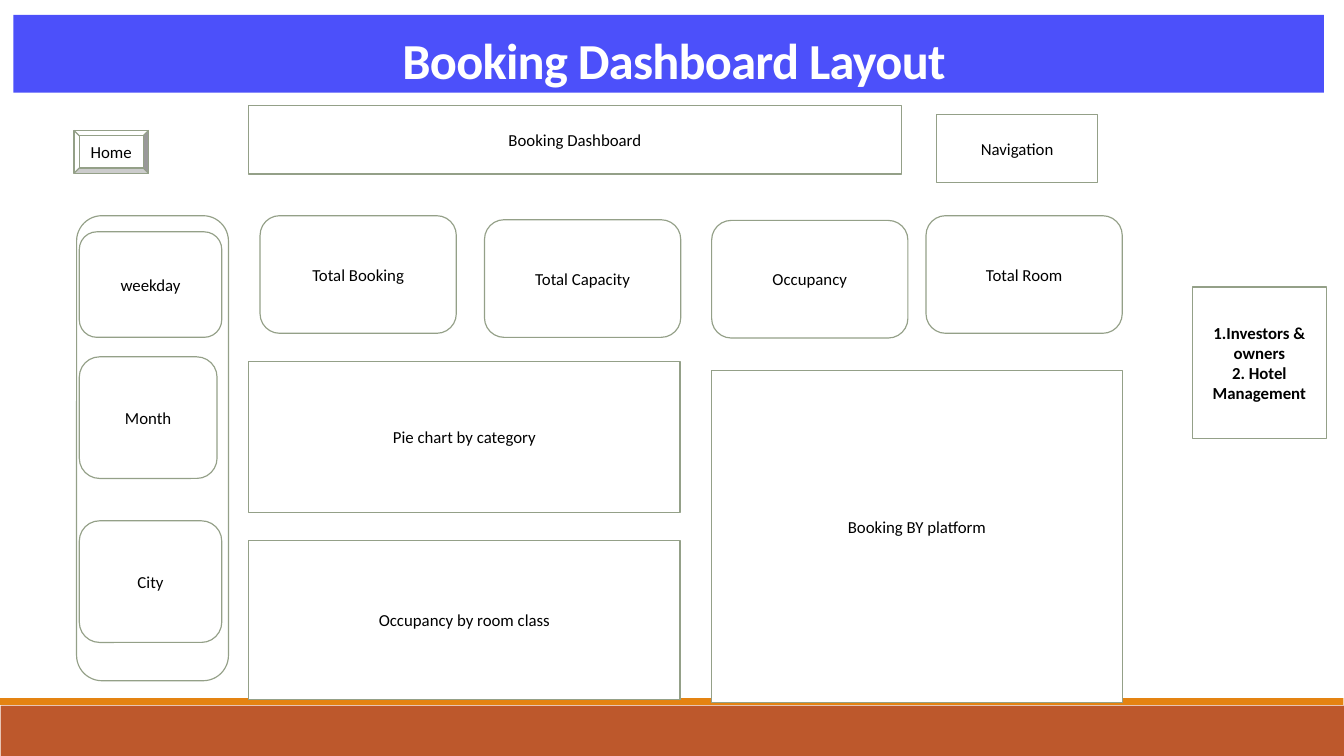
from collections import namedtuple
from dataclasses import dataclass

from pptx import Presentation
from pptx.dml.color import RGBColor
from pptx.enum.shapes import MSO_SHAPE
from pptx.enum.text import MSO_ANCHOR, PP_ALIGN
from pptx.util import Inches, Pt

Box = namedtuple("Box", "left top width height")


@dataclass(frozen=True)
class Theme:
    font: str = "Calibri"
    title_size: int = 54
    body_size: int = 18
    line_width: float = 1.25
    white: str = "FFFFFF"
    black: str = "000000"
    outline: str = "94A088"
    banner: str = "4C50FA"
    footer: str = "BD582C"
    stripe: str = "E48312"


THEME = Theme()


def color(value):
    return RGBColor.from_string(value)


def within(box, left, top, width, height):
    return Box(box.left + left, box.top + top, width, height)


def add_block(slide, box, fill, kind=MSO_SHAPE.RECTANGLE):
    shape = slide.shapes.add_shape(kind, *map(Inches, box))
    shape.shadow.inherit = False
    shape.fill.solid()
    shape.fill.fore_color.rgb = color(fill)
    shape.line.fill.background()
    return shape


def add_line(paragraph, text, size, text_color, bold=False):
    paragraph.alignment = PP_ALIGN.CENTER
    run = paragraph.add_run()
    run.text = text
    run.font.name = THEME.font
    run.font.size = Pt(size)
    run.font.bold = bold
    run.font.color.rgb = color(text_color)
    return run


def add_panel(slide, box, lines=(), kind=MSO_SHAPE.RECTANGLE, bold=False):
    shape = add_block(slide, box, THEME.white, kind)
    shape.line.color.rgb = color(THEME.outline)
    shape.line.width = Pt(THEME.line_width)
    frame = shape.text_frame
    frame.word_wrap = True
    frame.vertical_anchor = MSO_ANCHOR.MIDDLE
    for index, text in enumerate(lines):
        paragraph = frame.add_paragraph() if index else frame.paragraphs[0]
        add_line(paragraph, text, THEME.body_size, THEME.black, bold)
    return shape


def add_footer(slide, box):
    stripe_height = 0.1
    body = within(box, 0.01, stripe_height + 0.01, box.width, 0.75)
    add_block(slide, body, THEME.footer)
    add_block(slide, box._replace(height=stripe_height), THEME.stripe)


def add_title(slide, box):
    frame = add_block(slide, box, THEME.banner).text_frame
    frame.word_wrap = True
    frame.vertical_anchor = MSO_ANCHOR.BOTTOM
    paragraph = frame.paragraphs[0]
    paragraph.line_spacing = 0.85
    run = add_line(paragraph, " Booking Dashboard Layout", THEME.title_size, THEME.white, True)
    run.font._element.set("spc", "-80")


def add_header(slide, box):
    add_panel(slide, within(box, 2.6, 0, 9.71, 1.02), ["Booking Dashboard"])
    add_panel(slide, within(box, 12.84, 0.13, 2.39, 1.02), ["Navigation"])
    add_panel(slide, within(box, 0, 0.37, 1.11, 0.64), ["Home"], MSO_SHAPE.BEVEL)


def add_indicators(slide, box):
    cards = [
        ("Total Booking", 0, 0),
        ("Total Capacity", 3.34, 0.06),
        ("Occupancy", 6.72, 0.07),
        ("Total Room", 9.91, 0),
    ]
    for label, left, top in cards:
        card = within(box, left, top, 2.92, box.height)
        add_panel(slide, card, [label], MSO_SHAPE.ROUNDED_RECTANGLE)


def add_filters(slide, box):
    add_panel(slide, box, kind=MSO_SHAPE.ROUNDED_RECTANGLE)
    filters = [
        ("weekday", 0.24, 2.12, 1.57),
        ("Month", 2.1, 2.05, 1.81),
        ("City", 4.54, 2.12, 1.81),
    ]
    for label, top, width, height in filters:
        button = within(box, 0.04, top, width, height)
        add_panel(slide, button, [label], MSO_SHAPE.ROUNDED_RECTANGLE)


def add_charts_area(slide, box):
    add_panel(slide, within(box, 0, 0, 6.42, 2.25), ["Pie chart by category"])
    add_panel(slide, within(box, 0, 2.66, 6.42, 2.37), ["Occupancy by room class"])
    platform = add_panel(slide, within(box, 6.89, 0.13, 6.11, 4.95), ["Booking BY platform"])
    platform.text_frame.margin_bottom = Inches(0.35)


def add_audience(slide, box):
    add_panel(slide, box, ["1.Investors & owners", "2. Hotel Management"], bold=True)


def main():
    presentation = Presentation()
    presentation.slide_width = Inches(20)
    presentation.slide_height = Inches(11.25)
    slide = presentation.slides.add_slide(presentation.slide_layouts[6])
    add_footer(slide, Box(0, 10.39, 19.99, 0.86))
    add_title(slide, Box(0.2, 0.22, 19.5, 1.16))
    add_audience(slide, Box(17.74, 4.27, 2, 2.25))
    add_indicators(slide, Box(3.87, 3.21, 12.83, 1.75))
    add_charts_area(slide, Box(3.7, 5.38, 13, 5.08))
    add_header(slide, Box(1.1, 1.57, 15.23, 1.15))
    add_filters(slide, Box(1.14, 3.21, 2.26, 6.92))
    presentation.save("out.pptx")


if __name__ == "__main__":
    main()
